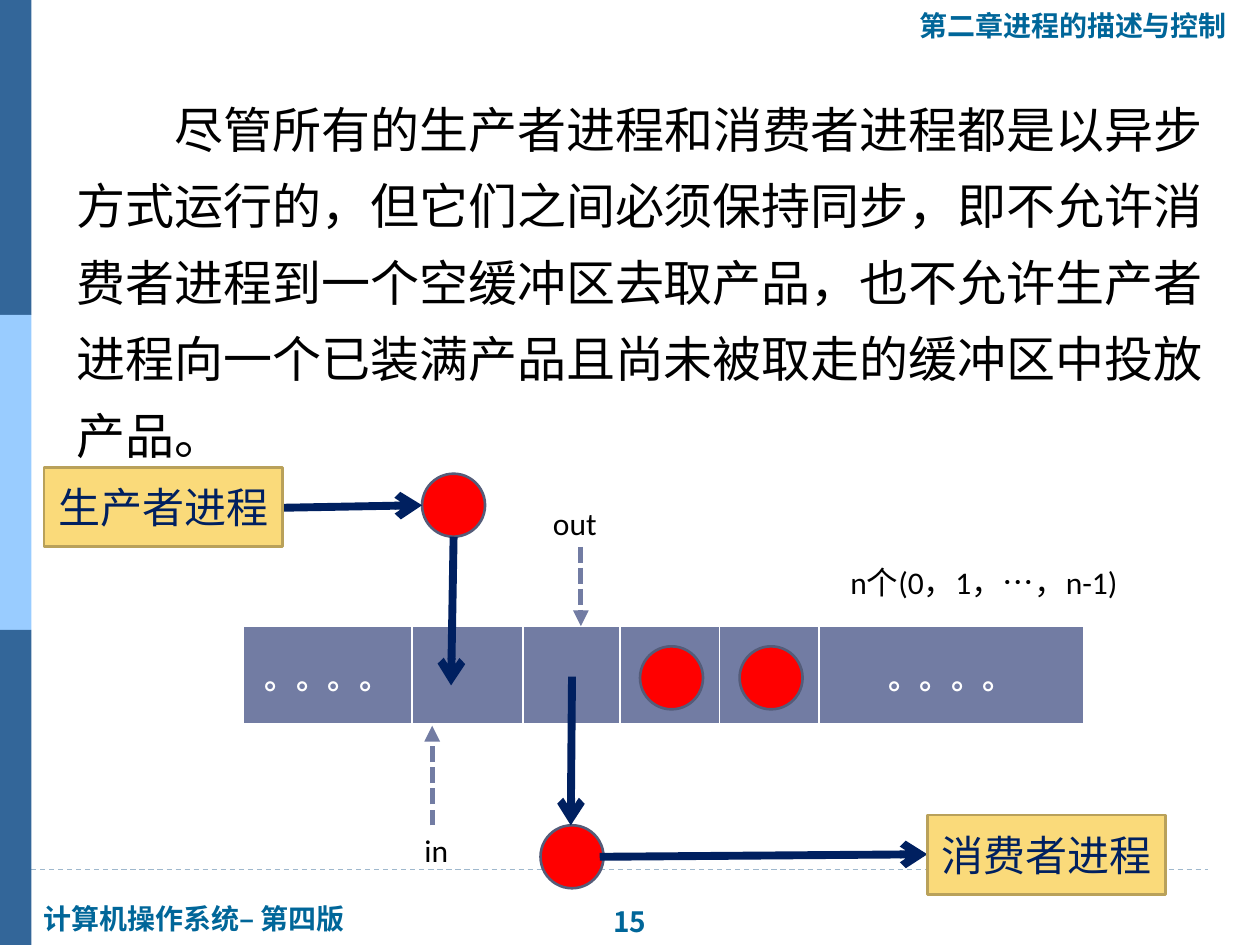
from typing import NamedTuple

from lxml import etree
from pptx import Presentation
from pptx import util as u
from pptx.dml.color import RGBColor
from pptx.enum import dml, shapes, text
from pptx.oxml import ns

NAVY, SLATE, TEAL, WHITE = "002060", "727CA3", "006699", "FFFFFF"
CJK = "Noto Sans CJK SC"
BALL = 0.5


class Box(NamedTuple):
    x: float
    y: float
    w: float
    h: float


class Label(NamedTuple):
    words: str
    box: Box


class Arrow(NamedTuple):
    x1: float
    y1: float
    x2: float
    y2: float


def color(value: str) -> RGBColor:
    return RGBColor.from_string(value)


def place(sp, box: Box) -> None:
    sp.left, sp.top, sp.width, sp.height = map(u.Inches, box)


def write(tf, words: str, *, size=18, font="Calibri", fill="000000", bold=False,
          align=text.PP_ALIGN.LEFT, anchor=text.MSO_ANCHOR.TOP, wrap=False, spacing=None):
    tf.word_wrap = wrap
    tf.auto_size = text.MSO_AUTO_SIZE.NONE
    tf.vertical_anchor = anchor
    p = tf.paragraphs[0]
    p.alignment = align
    p.space_before = u.Pt(0)
    if spacing:
        p.line_spacing = spacing
    r = p.add_run()
    r.text = words
    r.font.size, r.font.bold, r.font.name = u.Pt(size), bold, font
    r.font.color.rgb = color(fill)
    ea = etree.SubElement(r.font._element, ns.qn("a:ea"))
    ea.set("typeface", font if "CJK" in font else CJK)
    return p


def add_text(s, label: Label, **style) -> None:
    sp = s.shapes.add_textbox(*map(u.Inches, label.box))
    write(sp.text_frame, label.words, **style)


def add_block(s, kind, box: Box, fill: str, line: str | None = None):
    sp = s.shapes.add_shape(kind, *map(u.Inches, box))
    sp.shadow.inherit = False
    sp.fill.solid()
    sp.fill.fore_color.rgb = color(fill)
    if line:
        sp.line.color.rgb = color(line)
        sp.line.width = u.Pt(1.5)
    else:
        sp.line.fill.background()
    return sp


def add_ball(s, x: float, y: float) -> None:
    add_block(s, shapes.MSO_SHAPE.FLOWCHART_CONNECTOR, Box(x, y, BALL, BALL), "FF0000", "545C79")


def add_line(s, a: Arrow, fill: str, width: float, dash=None, head: str | None = None) -> None:
    c = s.shapes.add_connector(shapes.MSO_CONNECTOR.STRAIGHT, *map(u.Inches, a))
    c.line.color.rgb = color(fill)
    c.line.width = u.Pt(width)
    if dash:
        c.line.dash_style = dash
    if head:
        etree.SubElement(c.line._get_or_add_ln(), ns.qn("a:tailEnd")).set("type", head)
    etree.SubElement(c._element.spPr, ns.qn("a:effectLst"))


def add_borders(cell) -> None:
    tcPr = cell._tc.get_or_add_tcPr()
    for side, width in (("L", 1), ("R", 1), ("T", 1), ("B", 3)):
        ln = etree.SubElement(tcPr, ns.qn(f"a:ln{side}"), w=str(u.Pt(width)))
        fill = etree.SubElement(ln, ns.qn("a:solidFill"))
        etree.SubElement(fill, ns.qn("a:srgbClr"), val=WHITE)


def add_buffer(s, box: Box, widths: list[float], words: dict[int, str]) -> None:
    table = s.shapes.add_table(1, len(widths), *map(u.Inches, box)).table
    for i, width in enumerate(widths):
        table.columns[i].width = u.Inches(width)
        cell = table.cell(0, i)
        add_borders(cell)
        cell.fill.solid()
        cell.fill.fore_color.rgb = color(SLATE)
        if i in words:
            write(cell.text_frame, words[i], fill=WHITE, bold=True,
                  align=text.PP_ALIGN.CENTER, wrap=True)
            cell.vertical_anchor = text.MSO_ANCHOR.MIDDLE


def add_frame(s) -> None:
    add_line(s, Arrow(-0.04, 6.9, 9.59, 6.9), "9FB8CD", 0.75, dml.MSO_LINE.DASH)
    for i, fill in enumerate(("336699", "99CCFF", "336699")):
        add_block(s, shapes.MSO_SHAPE.RECTANGLE, Box(0, 2.5 * i, 0.25, 2.5), fill)
    place(s.shapes.title, Box(7.2, 0.02, 2.67, 0.37))
    header = dict(size=16, fill=TEAL, bold=True)
    write(s.shapes.title.text_frame, "第二章进程的描述与控制", font="Arial", **header)
    add_text(s, Label("计算机操作系统– 第四版", Box(0.25, 7.11, 2.65, 0.37)), font="Arial", **header)
    add_text(s, Label("15", Box(4.73, 7.13, 0.54, 0.37)), font="Noto Sans CJK JP",
             align=text.PP_ALIGN.CENTER, **header)


def add_body(s) -> None:
    body = s.placeholders[1]
    place(body, Box(0.51, 0.6, 9.37, 3.08))
    p = write(body.text_frame,
              "尽管所有的生产者进程和消费者进程都是以异步方式运行的，但它们之间必须保持同步，"
              "即不允许消费者进程到一个空缓冲区去取产品，也不允许生产者进程向一个已装满产品"
              "且尚未被取走的缓冲区中投放产品。",
              size=28, font="Arial", wrap=True, spacing=1.3)
    pPr = p._p.get_or_add_pPr()
    pPr.set("marL", "0")
    pPr.set("indent", str(u.Pt(2 * 28)))
    etree.SubElement(pPr, ns.qn("a:buNone"))


def add_diagram(s) -> None:
    dots = "。。。。"
    add_buffer(s, Box(1.93, 4.97, 6.67, 0.79), [1.34, 0.88, 0.77, 0.79, 0.79, 2.1],
               {0: dots, 5: dots})
    for x, y in ((5.87, 5.13), (5.08, 5.13), (4.29, 6.55), (3.35, 3.76)):
        add_ball(s, x, y)
    for flow in (Arrow(3.6, 4.26, 3.58, 5.44), Arrow(4.54, 5.37, 4.53, 6.55),
                 Arrow(2.24, 4.03, 3.35, 4.01), Arrow(4.76, 6.8, 7.36, 6.78)):
        add_line(s, flow, NAVY, 4.5, head="arrow")
    for process in (Label("生产者进程", Box(0.35, 3.71, 1.89, 0.63)),
                    Label("消费者进程", Box(7.36, 6.47, 1.89, 0.63))):
        sp = add_block(s, shapes.MSO_SHAPE.RECTANGLE, process.box, "FADA7A", "B9A15A")
        write(sp.text_frame, process.words, size=24, fill=NAVY, wrap=True,
              align=text.PP_ALIGN.CENTER, anchor=text.MSO_ANCHOR.MIDDLE)
    add_text(s, Label("n个(0，1，…，n-1)", Box(6.65, 4.42, 2.45, 0.4)), wrap=True)
    for label, pointer in (
        (Label("in", Box(3.27, 6.55, 0.42, 0.4)), Arrow(3.43, 6.55, 3.43, 5.76)),
        (Label("out", Box(4.29, 3.95, 0.61, 0.4)), Arrow(4.61, 4.34, 4.61, 4.97)),
    ):
        add_line(s, pointer, SLATE, 3, dml.MSO_LINE.SQUARE_DOT, "triangle")
        add_text(s, label)


def main() -> None:
    prs = Presentation()
    prs.slide_width, prs.slide_height = u.Inches(10), u.Inches(7.5)
    s = prs.slides.add_slide(prs.slide_layouts[1])
    add_frame(s)
    add_body(s)
    add_diagram(s)
    prs.save("out.pptx")


if __name__ == "__main__":
    main()
